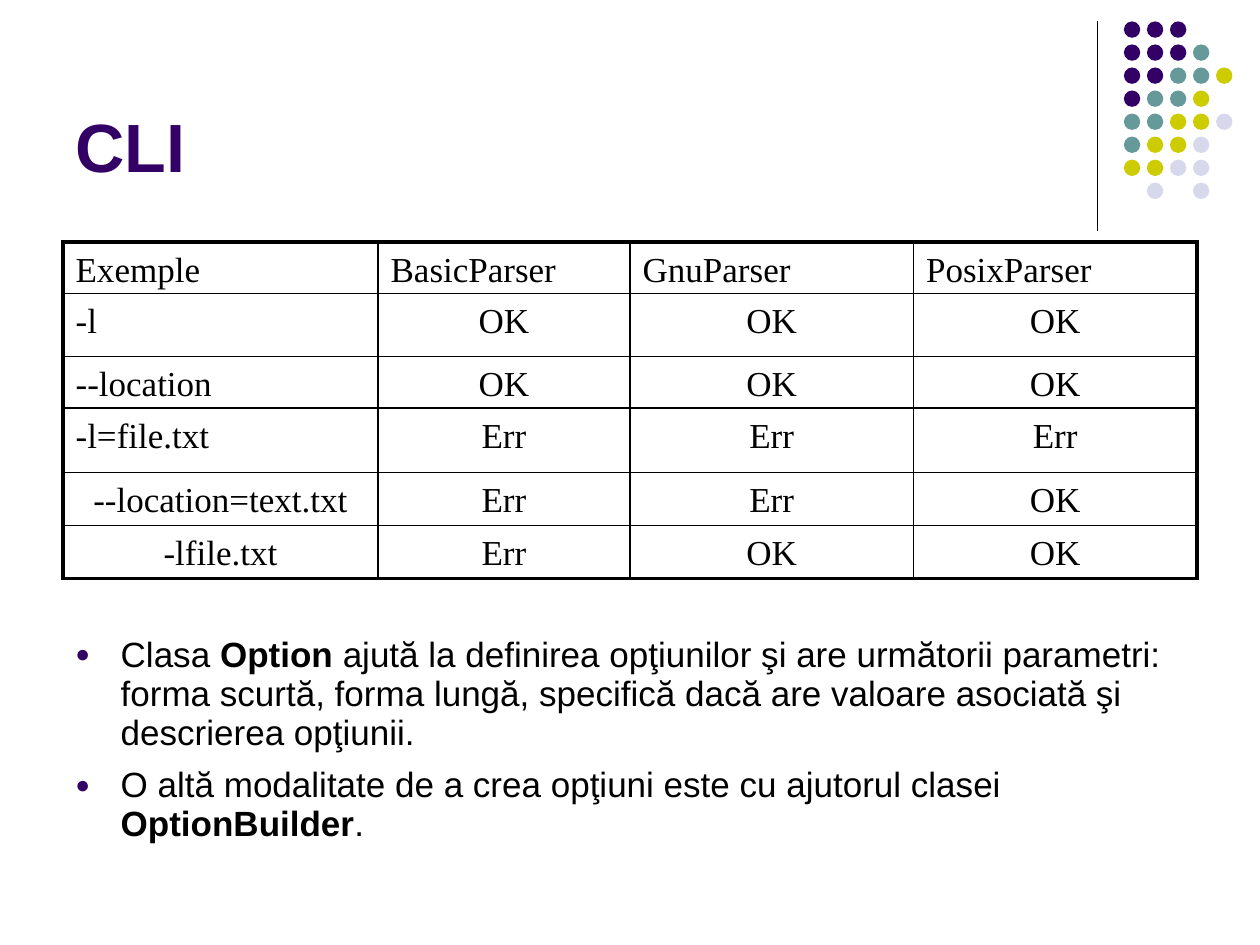
from lxml import etree
from pptx import Presentation
from pptx.dml.color import RGBColor
from pptx.enum.shapes import MSO_CONNECTOR, MSO_SHAPE
from pptx.enum.text import MSO_ANCHOR, MSO_AUTO_SIZE, PP_ALIGN
from pptx.oxml.ns import qn
from pptx.util import Inches, Pt

STRAIGHT = MSO_CONNECTOR.STRAIGHT
OVAL = MSO_SHAPE.OVAL
BOTTOM, TOP = MSO_ANCHOR.BOTTOM, MSO_ANCHOR.TOP
LEFT, CENTER = PP_ALIGN.LEFT, PP_ALIGN.CENTER

# Content
TITLE = "CLI"
TABLE_ROWS = [
    ("Exemple", "BasicParser", "GnuParser", "PosixParser"),
    ("-l", "OK", "OK", "OK"),
    ("--location", "OK", "OK", "OK"),
    ("-l=file.txt", "Err", "Err", "Err"),
    ("--location=text.txt", "Err", "Err", "OK"),
    ("-lfile.txt", "Err", "OK", "OK"),
]
CENTERED_LABELS = {"--location=text.txt", "-lfile.txt"}
BULLETS = [  # each paragraph is a list of (text, bold)
    [("Clasa ", False), ("Option", True),
     (" ajută la definirea opţiunilor şi are următorii parametri: forma scurtă, "
      "forma lungă, specifică dacă are valoare asociată şi descrierea opţiunii.", False)],
    [("O altă modalitate de a crea opţiuni este cu ajutorul clasei ", False),
     ("OptionBuilder", True), (".", False)],
]
# One letter per dot: purple, teal, yellow, mist
DOT_ROWS = ["PPP", "PPPT", "PPTTY", "PTTY", "TTYYM", "TYYM", "YYMM", " M M"]

THEME = {
    "ink": "000000", "accent": "330066",
    "dots": {"P": "330066", "T": "669999", "Y": "CCCC00", "M": "D8D8EC"},
    "title": {"name": "Arial", "size": Pt(39), "bold": True},
    "body": {"name": "Arial", "size": Pt(20)},
    "cell": {"name": "Times New Roman", "size": Pt(20), "bold": False},
    "outer_line": 2.25, "inner_line": 1, "rule": 0.75,
}

# Layout in inches
COLUMN_WIDTHS = [2.5, 2, 2.25, 2.25]
ROW_HEIGHTS = [0.41, 0.5, 0.41, 0.51, 0.42, 0.42]
TABLE_LEFT, TABLE_TOP = 0.5, 1.92
DOT_LEFT, DOT_TOP, DOT_SIZE = 8.92, 0.17, 0.13
DOT_STEP = 1.28 / (len(DOT_ROWS) - 1)


def apply(target, values):
    for name, value in values.items():
        setattr(target, name, value)


def style_font(font, values, color):
    apply(font, values)
    font.color.rgb = RGBColor.from_string(color)


def inset(frame, anchor):
    apply(frame, {"word_wrap": True, "auto_size": MSO_AUTO_SIZE.NONE, "vertical_anchor": anchor,
                  "margin_left": Inches(0.1), "margin_right": Inches(0.1),
                  "margin_top": Inches(0.05), "margin_bottom": Inches(0.05)})


def add_title(page):
    title = page.shapes.title
    apply(title, {"left": Inches(0.5), "top": Inches(0.13),
                  "width": Inches(8.25), "height": Inches(1.41)})
    title.text_frame.text = TITLE
    inset(title.text_frame, BOTTOM)
    para = title.text_frame.paragraphs[0]
    apply(para, {"alignment": LEFT, "line_spacing": 0.93})
    style_font(para.runs[0].font, THEME["title"], THEME["accent"])


def add_corner_ornament(page):
    rule = page.shapes.add_connector(
        STRAIGHT, Inches(8.71), Inches(0.17), Inches(8.71), Inches(1.83))
    rule.line.width = Pt(THEME["rule"])
    rule.line.color.rgb = RGBColor.from_string(THEME["ink"])
    etree.SubElement(rule.element.spPr, qn("a:effectLst"))
    for row, letters in enumerate(DOT_ROWS):
        for column, letter in enumerate(letters):
            if letter == " ":
                continue
            dot = page.shapes.add_shape(
                OVAL, Inches(DOT_LEFT + column * DOT_STEP), Inches(DOT_TOP + row * DOT_STEP),
                Inches(DOT_SIZE), Inches(DOT_SIZE))
            dot.shadow.inherit = False
            dot.fill.solid()
            dot.fill.fore_color.rgb = RGBColor.from_string(THEME["dots"][letter])
            dot.line.fill.background()


def draw_borders(cell, outer_sides):
    properties = cell._tc.get_or_add_tcPr()
    for position, (side, is_outer) in enumerate(outer_sides.items()):
        width = THEME["outer_line" if is_outer else "inner_line"]
        line = etree.Element(qn(f"a:{side}"), w=str(Pt(width)))
        fill = etree.SubElement(line, qn("a:solidFill"))
        etree.SubElement(fill, qn("a:srgbClr"), val=THEME["ink"])
        properties.insert(position, line)


def add_parser_table(page):
    table = page.shapes.add_table(
        len(TABLE_ROWS), len(COLUMN_WIDTHS), Inches(TABLE_LEFT), Inches(TABLE_TOP),
        Inches(sum(COLUMN_WIDTHS)), Inches(sum(ROW_HEIGHTS))).table
    apply(table, {"first_row": False, "horz_banding": False})
    for column, width in zip(table.columns, COLUMN_WIDTHS):
        column.width = Inches(width)
    for row, height in zip(table.rows, ROW_HEIGHTS):
        row.height = Inches(height)
    last_row, last_column = len(TABLE_ROWS) - 1, len(COLUMN_WIDTHS) - 1
    for r, texts in enumerate(TABLE_ROWS):
        for c, text in enumerate(texts):
            cell = table.cell(r, c)
            cell.text = text
            apply(cell, {"vertical_anchor": TOP,
                         "margin_left": Inches(0.1), "margin_right": Inches(0.1),
                         "margin_top": Inches(0.07), "margin_bottom": Inches(0.02)})
            cell.fill.background()
            draw_borders(cell, {"lnL": c == 0, "lnR": c == last_column,
                                "lnT": r == 0, "lnB": r == last_row})
            para = cell.text_frame.paragraphs[0]
            centered = text in CENTERED_LABELS or (r > 0 and c > 0)
            para.alignment = CENTER if centered else LEFT
            style_font(para.runs[0].font, THEME["cell"], THEME["ink"])


def add_bullet(para):
    properties = para._p.get_or_add_pPr()
    properties.set("marL", str(Inches(0.36)))
    properties.set("indent", str(Inches(-0.36)))
    color = etree.SubElement(properties, qn("a:buClr"))
    etree.SubElement(color, qn("a:srgbClr"), val=THEME["accent"])
    etree.SubElement(properties, qn("a:buSzPct"), val="70000")
    etree.SubElement(properties, qn("a:buFont"), typeface="Arial")
    etree.SubElement(properties, qn("a:buChar"), char="●")


def add_body(page):
    box = page.shapes.add_textbox(Inches(0.5), Inches(5), Inches(9), Inches(2.17))
    frame = box.text_frame
    inset(frame, TOP)
    for index, spans in enumerate(BULLETS):
        para = frame.add_paragraph() if index else frame.paragraphs[0]
        apply(para, {"alignment": LEFT, "line_spacing": 0.93, "space_before": Pt(7.5)})
        add_bullet(para)
        for text, bold in spans:
            span = para.add_run()
            span.text = text
            style_font(span.font, {**THEME["body"], "bold": bold}, THEME["ink"])


def main():
    deck = Presentation()
    apply(deck, {"slide_width": Inches(10), "slide_height": Inches(7.5)})
    page = deck.slides.add_slide(deck.slide_layouts[5])
    add_corner_ornament(page)
    add_title(page)
    add_parser_table(page)
    add_body(page)
    deck.save("out.pptx")


if __name__ == "__main__":
    main()
